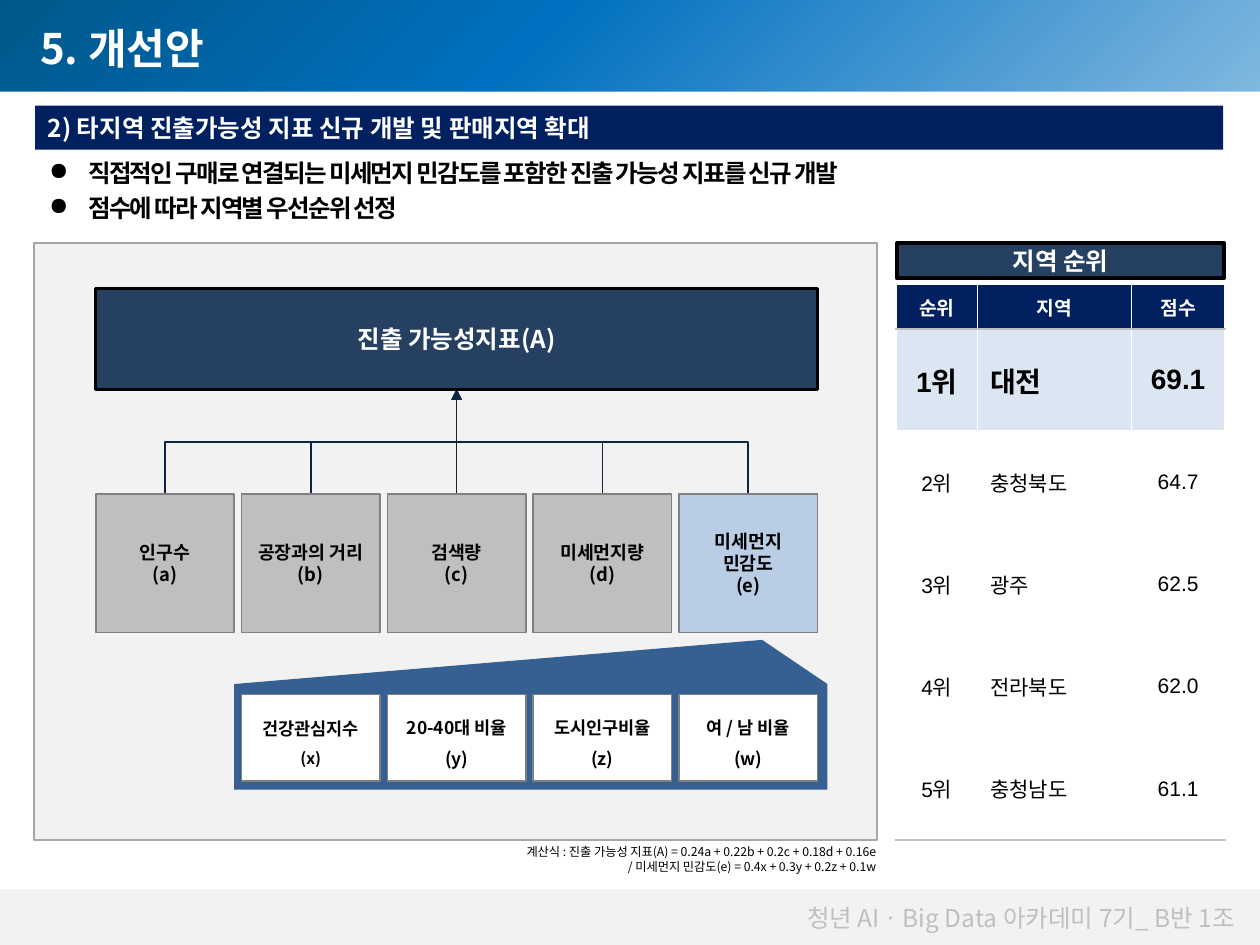
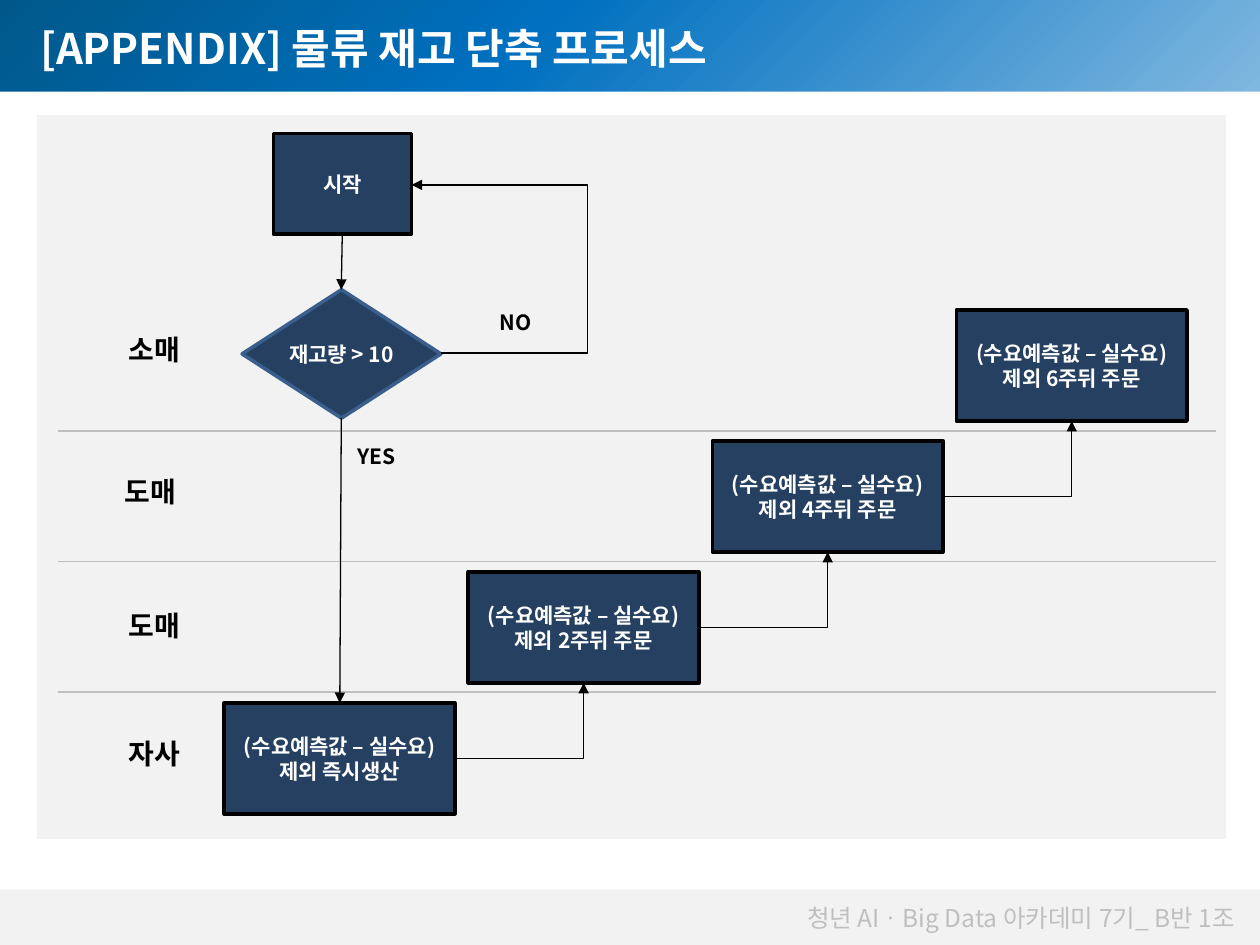
"""Builds a regional index slide and a stock process slide."""
from lxml import etree
from pptx import Presentation
from pptx.dml.color import RGBColor
from pptx.enum.shapes import MSO_CONNECTOR, MSO_SHAPE
from pptx.enum.text import MSO_ANCHOR, PP_ALIGN
from pptx.oxml.ns import qn
from pptx.util import Cm, Pt

RECT, TRI = MSO_SHAPE.RECTANGLE, MSO_SHAPE.ISOSCELES_TRIANGLE
PROC, GATE = MSO_SHAPE.FLOWCHART_PROCESS, MSO_SHAPE.FLOWCHART_DECISION
LINE, ELBOW = MSO_CONNECTOR.STRAIGHT, MSO_CONNECTOR.ELBOW
LEFT, MID, RIGHT = PP_ALIGN.LEFT, PP_ALIGN.CENTER, PP_ALIGN.RIGHT
TOP, HALF = MSO_ANCHOR.TOP, MSO_ANCHOR.MIDDLE

SANS, ARIAL = "Noto Sans CJK KR", "Arial"
WHITE, BLACK, PALE, GREY = "FFFFFF", "000000", "F2F2F2", "BFBFBF"
NAVY, DARK, BLUE, EDGE = "002060", "254061", "376092", "808080"
FADE = [(0, "00588A"), (27, "0070C0"), (100, WHITE)]
WIDE, TALL = 25.4, 19.05
FOOT = "청년 AIㆍBig Data 아카데미 7기_ B반 1조"

HEAD = "2) 타지역 진출가능성 지표 신규 개발 및 판매지역 확대"
POINTS = [
    "직접적인 구매로 연결되는 미세먼지 민감도를 포함한 진출 가능성 지표를 신규 개발",
    "점수에 따라 지역별 우선순위 선정",
]
FACTORS = [
    ["인구수", "(a)"],
    ["공장과의 거리", "(b)"],
    ["검색량", "(c)"],
    ["미세먼지량", "(d)"],
    ["미세먼지", "민감도", "(e)"],
]
PARTS = [
    ["건강관심지수", ("(x)", 9)],
    ["20-40대 비율", "(y)"],
    ["도시인구비율", "(z)"],
    ["여 / 남 비율", "(w)"],
]
SUMS = [
    "계산식 : 진출 가능성 지표(A) = 0.24a + 0.22b + 0.2c + 0.18d + 0.16e",
    "/ 미세먼지 민감도(e) = 0.4x + 0.3y + 0.2z + 0.1w",
]
RANKS = [
    ("순위", "지역", "점수"),
    ("1위", "대전", "69.1"),
    ("2위", "충청북도", "64.7"),
    ("3위", "광주", "62.5"),
    ("4위", "전라북도", "62.0"),
    ("5위", "충청남도", "61.1"),
]
COLS, ROWS = [1.65, 3.1, 1.88], [0.89] + [2.06] * 5

ORDERS = ["즉시생산", "2주뒤 주문", "4주뒤 주문", "6주뒤 주문"]
LANES = [
    ("소매", 2.34, 6.58),
    ("도매", 2.26, 9.45),
    ("도매", 2.34, 12.14),
    ("자사", 2.34, 14.73),
]
FLAGS = [("YES", 6.96, 8.81), ("NO", 9.83, 6.12)]


def rgb(code):
    return RGBColor.from_string(code)


def node(root, tag, **attrs):
    return etree.SubElement(root, qn(tag), attrs)


def write(frame, paras, size, color=BLACK, bold=True, align=MID, font=SANS,
          space=None, mark=False):
    for i, item in enumerate(paras):
        text, pts = item if isinstance(item, tuple) else (item, size)
        para = frame.paragraphs[0] if i == 0 else frame.add_paragraph()
        para.alignment = align
        if space:
            para.line_spacing = space
        if mark:
            props = para._p.get_or_add_pPr()
            props.set("marL", str(Cm(0.79)))
            props.set("indent", str(-Cm(0.79)))
            if i:
                para.space_before = Pt(3)
            node(props, "a:buChar", char="●")
        run = para.add_run()
        run.text = text
        run.font.size, run.font.bold = Pt(pts), bold
        run.font.name = font
        run.font.color.rgb = rgb(color)
        props = run._r.get_or_add_rPr()
        node(props, "a:ea", typeface=SANS)
        if mark:
            props.set("spc", "-100")


def inset(frame, side, edge):
    frame.margin_left = frame.margin_right = Cm(side)
    frame.margin_top = frame.margin_bottom = Cm(edge)


def label(slide, at, paras, size, color=BLACK, **kw):
    frame = slide.shapes.add_textbox(*map(Cm, at)).text_frame
    frame.word_wrap = True
    write(frame, paras, size, color, **{"align": LEFT, **kw})
    return frame


def block(slide, at, fill, edge=None, width=1, kind=RECT):
    shape = slide.shapes.add_shape(kind, *map(Cm, at))
    shape.shadow.inherit = False
    shape.fill.solid()
    shape.fill.fore_color.rgb = rgb(fill)
    if edge:
        shape.line.color.rgb = rgb(edge)
        shape.line.width = Pt(width)
    else:
        shape.line.fill.background()
    return shape


def card(slide, at, paras, size, fill=DARK, edge=BLACK, width=2, color=WHITE, **kw):
    frame = block(slide, at, fill, edge, width).text_frame
    frame.word_wrap, frame.vertical_anchor = True, HALF
    write(frame, paras, size, color, **kw)
    return frame


def link(slide, ends, color=BLACK, width=0.75, kind=LINE, tip=True):
    wire = slide.shapes.add_connector(kind, *map(Cm, ends))
    wire.line.color.rgb = rgb(color)
    wire.line.width = Pt(width)
    props = wire._element.spPr
    if tip:
        node(props.find(qn("a:ln")), "a:tailEnd", type="triangle")
    node(props, "a:effectLst")
    return props


def climb(slide, x, low, goal, high):
    """Draws an elbow that leaves upwards and meets the goal from below."""
    if abs(x - goal) < 0.01:
        link(slide, (x, low, goal, high), "0F243E", 1)
        return
    side = 1 if x < goal else -1
    cx, cy = (x + goal) / 2, (low + high) / 2
    run, rise = abs(goal - x) / 2, side * (low - high) / 2
    ends = cx + rise, cy + run, cx - rise, cy - run
    props = link(slide, ends, "0F243E", 1, ELBOW)
    props.find(qn("a:xfrm")).set("rot", str((90 if side > 0 else 270) * 60000))


def base(deck, title):
    slide = deck.slides.add_slide(deck.slide_layouts[6])
    block(slide, (0, 17.32, WIDE, 1.73), PALE)
    band = block(slide, (0, 0, WIDE, 17.32), NAVY)
    band.fill.gradient()
    band.fill.gradient_angle = 315
    stops = band._element.spPr.find(".//" + qn("a:gsLst"))
    for stop in list(stops):
        stops.remove(stop)
    for pos, code in FADE:
        node(node(stops, "a:gs", pos=str(pos * 1000)), "a:srgbClr", val=code)
    block(slide, (0, 1.85, WIDE, 16.08), WHITE)
    label(slide, (13.16, 18.08, 11.99, 0.86), [FOOT], 14, GREY, bold=False, align=RIGHT)
    label(slide, (0.56, 0.33, 21.13, 1.27), [title], 24, WHITE)
    return slide


def border(cell, row):
    last = len(RANKS) - 1
    tones = {
        "L": WHITE,
        "R": WHITE,
        "T": GREY if row == 1 else WHITE,
        "B": GREY if row in (0, last) else WHITE,
    }
    props = cell._tc.get_or_add_tcPr()
    for side, tone in tones.items():
        ln = node(props, "a:ln" + side, w=str(Pt(1)))
        node(node(ln, "a:solidFill"), "a:srgbClr", val=tone)


def ranking(slide):
    at = 18.06, 5.74, sum(COLS), sum(ROWS)
    grid = slide.shapes.add_table(len(ROWS), len(COLS), *map(Cm, at)).table
    grid.horz_banding = False
    for col, width in zip(grid.columns, COLS):
        col.width = Cm(width)
    for row, height in zip(grid.rows, ROWS):
        row.height = Cm(height)
    looks = [(11, WHITE, NAVY, SANS), (16, BLACK, "DCE6F2", ARIAL)]
    for r, line in enumerate(RANKS):
        size, color, fill, font = looks[r] if r < 2 else (12, BLACK, WHITE, ARIAL)
        for c, text in enumerate(line):
            cell = grid.cell(r, c)
            border(cell, r)
            cell.fill.solid()
            cell.fill.fore_color.rgb = rgb(fill)
            cell.vertical_anchor = HALF
            cell.margin_left = cell.margin_right = Cm(0.25)
            cell.margin_top = cell.margin_bottom = 0
            align = LEFT if r and c == 1 else MID
            write(cell.text_frame, [text], size, color, r < 2, align, font)


def index(deck):
    slide = base(deck, "5. 개선안")
    frame = label(slide, (2.82, 16.87, 15.09, 0.91), SUMS, 7, bold=False, align=RIGHT)
    frame.vertical_anchor = HALF
    inset(frame, 0.25, 0)
    card(slide, (18.08, 4.9, 6.6, 0.71), ["지역 순위"], 14)
    ranking(slide)
    block(slide, (0.69, 4.9, 16.99, 12.04), PALE, "A6A6A6")

    left, step, side, row = 1.93, 2.94, 2.79, 9.96
    top, wide, high = 5.82, 14.55, 2.03
    spots = [left + i * step for i in range(len(FACTORS))]
    for x in spots:
        climb(slide, x + side / 2, row, left + wide / 2, top + high)
    for x, paras in zip(spots, FACTORS):
        fill = "B9CDE5" if x == spots[-1] else GREY
        frame = card(slide, (x, row, side, side), paras, 10.5, fill, EDGE, 1, BLACK)
        inset(frame, 0, 0)
    card(slide, (left, top, wide, high), ["진출 가능성지표(A)"], 14)
    block(slide, (4.72, 13.79, 11.96, 2.13), BLUE)
    for x, paras in zip(spots[1:], PARTS):
        card(slide, (x, 14, side, 1.75), paras, 10, WHITE, EDGE, 1, BLACK, space=1.5)
    roof = block(slide, (4.72, 12.9, 11.96, 0.89), BLUE, kind=TRI)
    roof.adjustments[0] = 0.89

    frame = card(slide, (0.71, 2.13, 23.95, 0.89), [HEAD], 14, NAVY, None, align=LEFT)
    frame.word_wrap = False
    label(slide, (0.74, 3.07, 23.98, 1.4), POINTS, 14, font=ARIAL, mark=True)


def process(deck):
    slide = base(deck, "[APPENDIX] 물류 재고 단축 프로세스")
    block(slide, (0.74, 2.31, 23.98, 14.61), PALE, kind=PROC)
    for i in range(len(LANES) - 1):
        y = 8.69 + i * 2.63
        link(slide, (1.17, y, 24.51, y), GREY, tip=False)
    for text, x, y in LANES:
        label(slide, (x, y, 1.8, 1.09), [text], 16)
    for text, x, y in FLAGS:
        label(slide, (x, y, 1.47, 0.89), [text], 12)

    card(slide, (5.51, 2.69, 2.79, 2.03), ["시작"], 12)
    gate = block(slide, (4.88, 5.84, 4.01, 2.59), DARK, "3A5F8C", 2, GATE).text_frame
    gate.word_wrap, gate.vertical_anchor = False, HALF
    inset(gate, 0, 0)
    write(gate, ["재고량 > 10"], 12, WHITE)

    wide, high = 4.65, 2.24
    spots = [(4.52 + i * 4.92, 14.17 - i * 2.64) for i in range(len(ORDERS))]
    for (x, y), order in zip(spots, ORDERS):
        text = f"(수요예측값 – 실수요) 제외 {order}"
        card(slide, (x, y, wide, high), [text], 12)
    for (x, y), (x2, y2) in zip(spots, spots[1:]):
        ends = x + wide, y + high / 2, x2 + wide / 2, y2 + high
        link(slide, ends, kind=ELBOW).find(qn("a:prstGeom")).set("prst", "bentConnector2")

    link(slide, (6.9, 4.72, 6.88, 5.84))
    link(slide, (6.88, 8.43, 6.85, 14.17))
    start, turn, end = 8.89, 11.84, 8.3
    geom = link(slide, (start, 7.12, end, 3.73), kind=ELBOW).find(qn("a:prstGeom"))
    bend = round((start - turn) / (start - end) * 100000)
    node(geom.get_or_add_avLst(), "a:gd", name="adj1", fmla=f"val {bend}")


def main():
    deck = Presentation()
    deck.slide_width, deck.slide_height = Cm(WIDE), Cm(TALL)
    index(deck)
    process(deck)
    deck.save("out.pptx")


if __name__ == "__main__":
    main()
